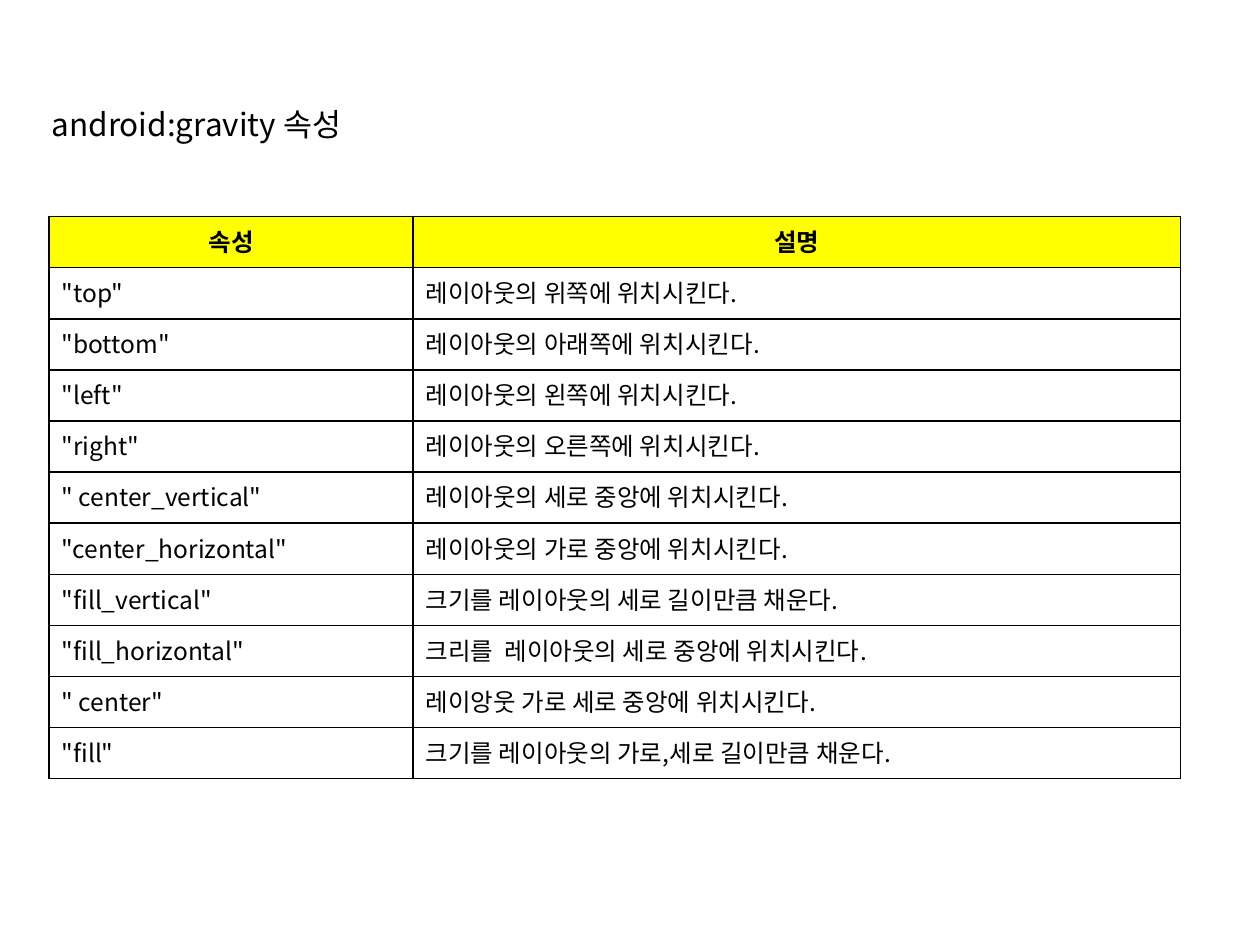
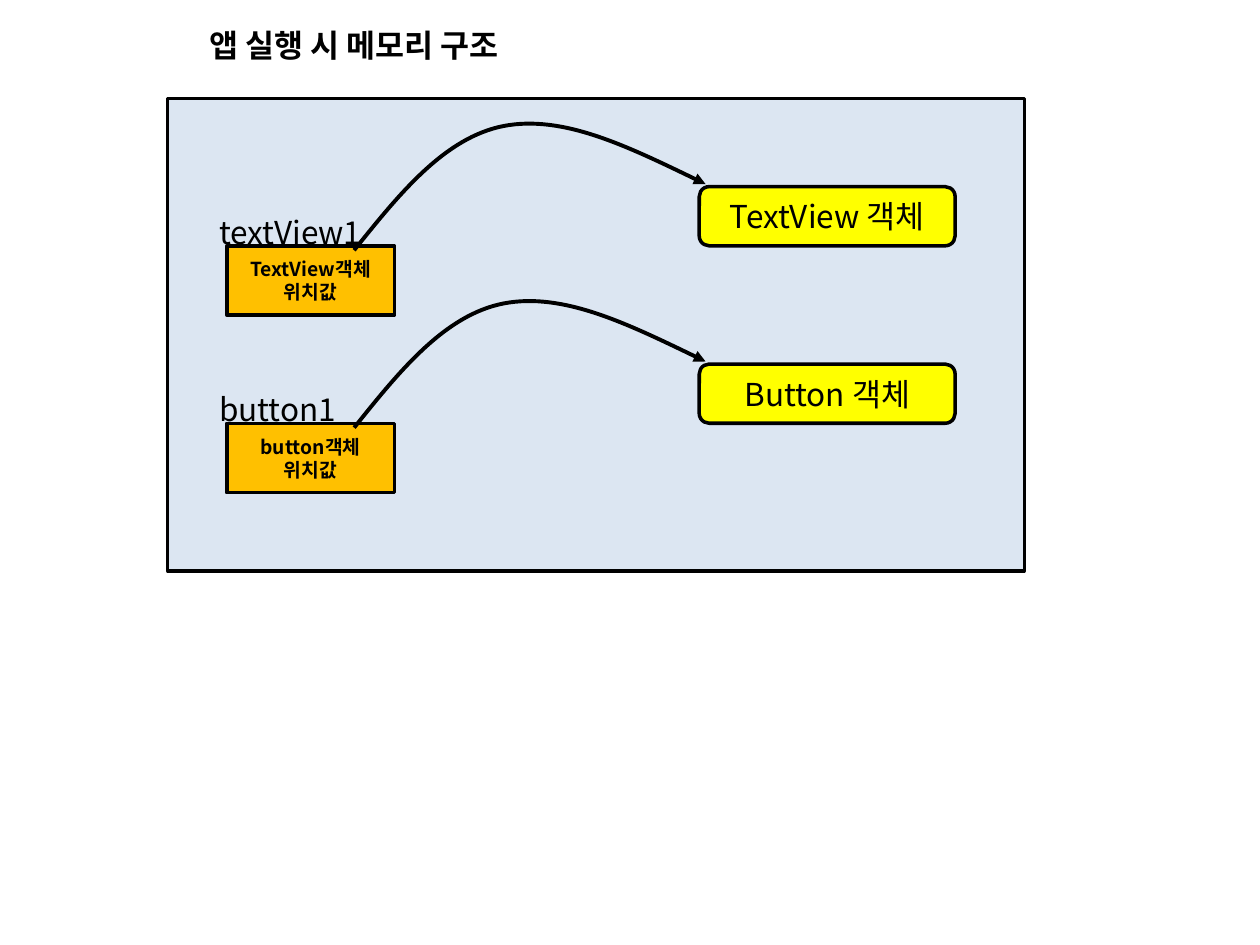
from lxml import etree
from pptx import Presentation
from pptx.dml.color import RGBColor
from pptx.enum import shapes, text
from pptx.oxml.ns import qn
from pptx.util import Pt

FONT = "Noto Sans CJK KR"
COLORS = {"ink": "000000", "yellow": "FFFF00", "orange": "FFC000", "panel": "DCE6F2"}
CENTER = text.PP_ALIGN.CENTER

# Content: gravity attributes
GRAVITY_TITLE = "android:gravity 속성"
GRAVITY_ROWS = [
    ("속성", "설명"),
    ('"top"', "레이아웃의 위쪽에 위치시킨다."),
    ('"bottom"', "레이아웃의 아래쪽에 위치시킨다."),
    ('"left"', "레이아웃의 왼쪽에 위치시킨다."),
    ('"right"', "레이아웃의 오른쪽에 위치시킨다."),
    ('" center_vertical"', "레이아웃의 세로 중앙에 위치시킨다."),
    ('"center_horizontal"', "레이아웃의 가로 중앙에 위치시킨다."),
    ('"fill_vertical"', "크기를 레이아웃의 세로 길이만큼 채운다."),
    ('"fill_horizontal"', "크리를  레이아웃의 세로 중앙에 위치시킨다."),
    ('" center"', "레이앙웃 가로 세로 중앙에 위치시킨다."),
    ('"fill"', "크기를 레이아웃의 가로,세로 길이만큼 채운다."),
]
COL_WIDTHS = (208, 438.5)
ROW_HEIGHT = 29.2

# Content: memory structure (variable, stored value, object)
MEMORY_TITLE = "앱 실행 시 메모리 구조"
REFERENCES = [
    ("textView1", "TextView객체\n위치값", "TextView 객체"),
    ("button1", "button객체\n위치값", "Button 객체"),
]
REFERENCE_STEP = 101.4
# Start point, then two control points and an end point per curve segment
ARROW = [(202.4, 143), (228.2, 110.8), (254.2, 78.5), (288, 72),
         (321.8, 65.5), (362.4, 85.5), (403.2, 105.2)]


def rgb(name):
    return RGBColor.from_string(COLORS[name])


def style(tf, size, bold=False, align=None):
    for p in tf.paragraphs:
        p.alignment = align
        for r in p.runs:
            r.font.size, r.font.bold, r.font.name = Pt(size), bold, FONT
            r.font.color.rgb = rgb("ink")
            etree.SubElement(r.font._element, qn("a:ea"), typeface=FONT)


def add_slide(prs, title, box, bold=False):
    s = prs.slides.add_slide(prs.slide_layouts[5])
    sp = s.shapes.title
    sp.left, sp.top, sp.width, sp.height = map(Pt, box)
    tf = sp.text_frame
    tf.text = title
    tf.auto_size = text.MSO_AUTO_SIZE.NONE
    tf.vertical_anchor = text.MSO_ANCHOR.TOP
    style(tf, 18, bold, text.PP_ALIGN.LEFT)
    return s


def outline(sp, width):
    sp.shadow.inherit = False
    sp.line.color.rgb = rgb("ink")
    sp.line.width = Pt(width)


def add_box(s, kind, box, fill, words="", size=18, bold=False):
    sp = s.shapes.add_shape(kind, *map(Pt, box))
    sp.fill.solid()
    sp.fill.fore_color.rgb = rgb(fill)
    outline(sp, 2)
    sp.text_frame.text = words
    sp.text_frame.vertical_anchor = text.MSO_ANCHOR.MIDDLE
    style(sp.text_frame, size, bold, CENTER)


def add_label(s, box, words):
    tf = s.shapes.add_textbox(*map(Pt, box)).text_frame
    tf.word_wrap = True
    tf.text = words
    style(tf, 18)


def add_curved_arrow(s, points):
    points = [(Pt(x), Pt(y)) for x, y in points]
    builder = s.shapes.build_freeform(*points[0])
    builder.add_line_segments(points[1:], close=False)
    sp = builder.convert_to_shape()
    sp.fill.background()
    outline(sp, 2.25)
    # Turn each three straight segments into one Bezier segment
    lines = sp._element.xpath(".//a:lnTo")
    for i in range(0, len(lines), 3):
        curve = etree.Element(qn("a:cubicBezTo"))
        lines[i].addprevious(curve)
        for line in lines[i:i + 3]:
            curve.append(line[0])
            line.getparent().remove(line)
    etree.SubElement(sp.line._get_or_add_ln(), qn("a:tailEnd"), type="triangle")


def add_borders(cell):
    tc_pr = cell._tc.get_or_add_tcPr()
    for i, side in enumerate(("lnL", "lnR", "lnT", "lnB")):
        ln = etree.Element(qn(f"a:{side}"), w=str(Pt(1)))
        fill = etree.SubElement(ln, qn("a:solidFill"))
        etree.SubElement(fill, qn("a:srgbClr"), val=COLORS["ink"])
        tc_pr.insert(i, ln)


def add_gravity_table(s):
    rows = len(GRAVITY_ROWS)
    table = s.shapes.add_table(rows, len(COL_WIDTHS), Pt(28.1), Pt(123.8),
                               Pt(sum(COL_WIDTHS)), Pt(rows * ROW_HEIGHT)).table
    table.first_row = table.horz_banding = False
    for col, width in zip(table.columns, COL_WIDTHS):
        col.width = Pt(width)
    for i, values in enumerate(GRAVITY_ROWS):
        table.rows[i].height = Pt(ROW_HEIGHT)
        header = i == 0
        for j, value in enumerate(values):
            cell = table.cell(i, j)
            cell.text = value
            style(cell.text_frame, 14, header, CENTER if header else None)
            if header:
                cell.fill.solid()
                cell.fill.fore_color.rgb = rgb("yellow")
            else:
                cell.fill.background()
            add_borders(cell)


def add_reference(s, dy, variable, value, target):
    add_box(s, shapes.MSO_SHAPE.RECTANGLE, (129.6, 140.5 + dy, 95.8, 39.6),
            "orange", value, 11, True)
    add_box(s, shapes.MSO_SHAPE.ROUNDED_RECTANGLE, (399.6, 106.7 + dy, 146.2, 33.8),
            "yellow", target)
    add_curved_arrow(s, [(x, y + dy) for x, y in ARROW])
    add_label(s, (118.1, 118.1 + dy, 135.4, 29), variable)


def main():
    prs = Presentation()
    prs.slide_width, prs.slide_height = Pt(720), Pt(540)

    # Slide 1: attribute table
    s = add_slide(prs, GRAVITY_TITLE, (22.3, 56.2, 556.6, 29))
    add_gravity_table(s)

    # Slide 2: variables pointing at their objects
    s = add_slide(prs, MEMORY_TITLE, (112.3, 11.5, 236.2, 29), bold=True)
    add_box(s, shapes.MSO_SHAPE.RECTANGLE, (95.8, 56.2, 489.6, 270), "panel")
    for i, reference in enumerate(REFERENCES):
        add_reference(s, i * REFERENCE_STEP, *reference)

    prs.save("out.pptx")


if __name__ == "__main__":
    main()
